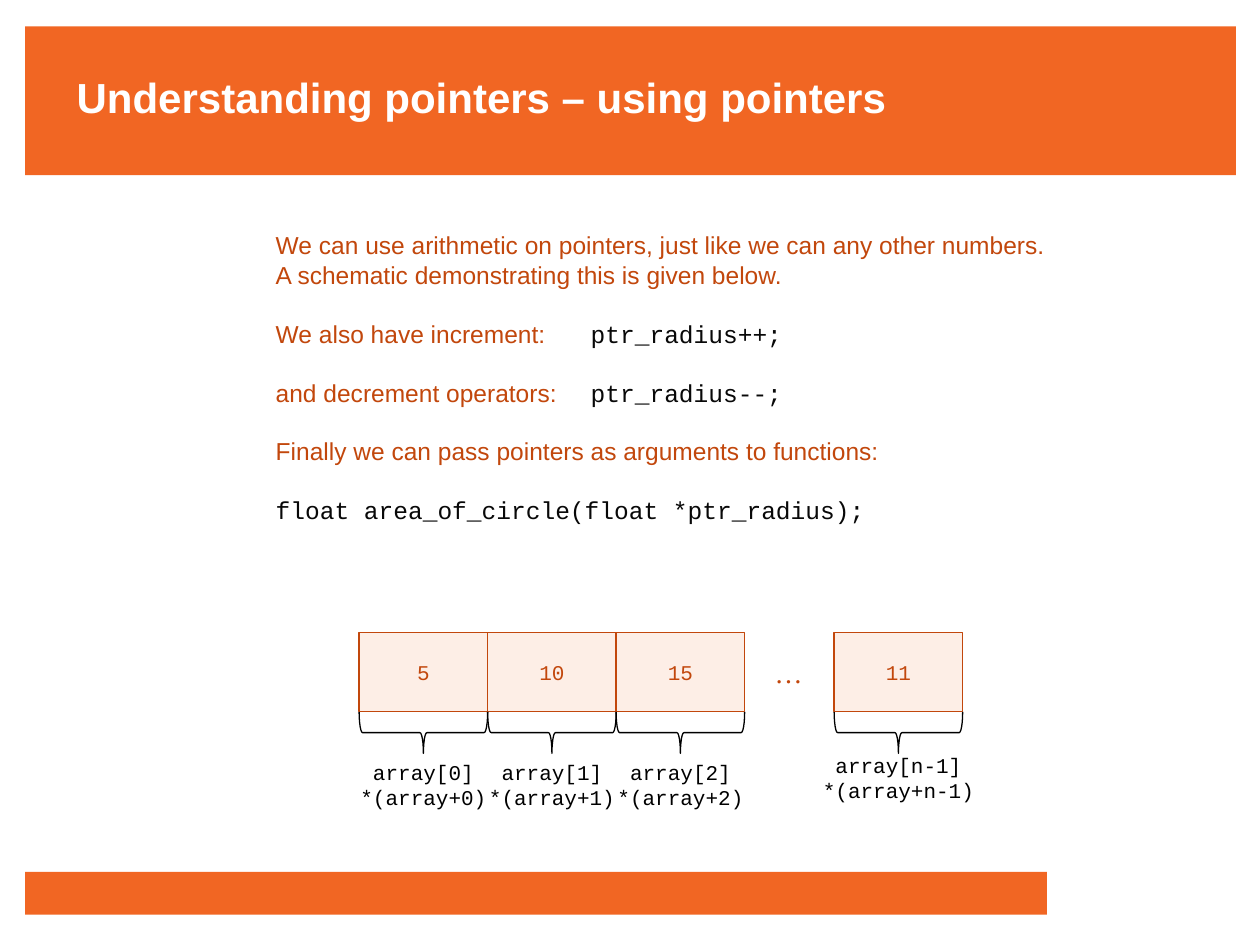
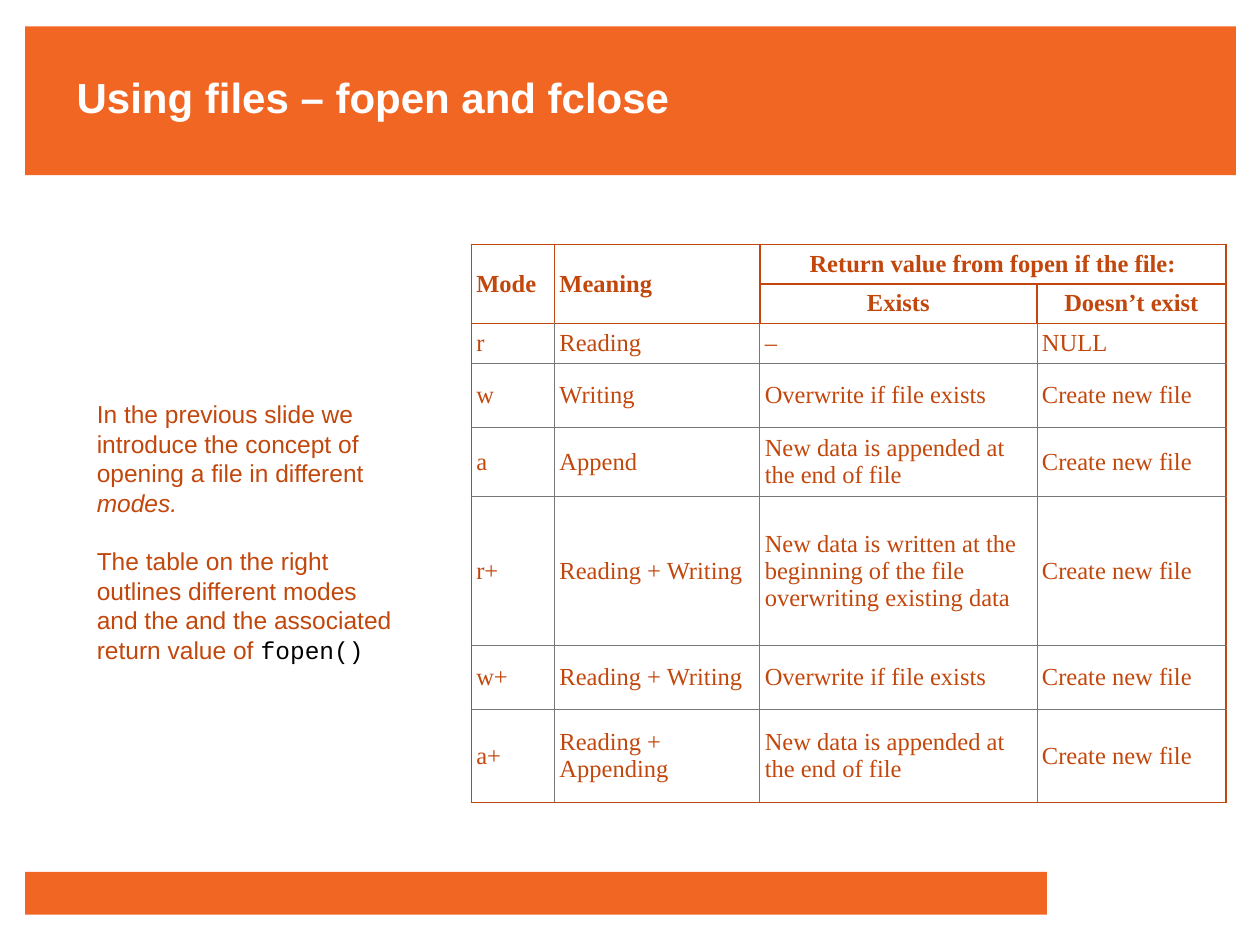
from collections import namedtuple
from dataclasses import dataclass

from lxml import etree
from pptx import Presentation
from pptx.dml.color import RGBColor
from pptx.enum.shapes import MSO_SHAPE
from pptx.enum.text import MSO_ANCHOR, MSO_AUTO_SIZE, PP_ALIGN
from pptx.oxml.ns import qn
from pptx.util import Inches, Pt

RECT, BRACE = MSO_SHAPE.RECTANGLE, MSO_SHAPE.RIGHT_BRACE
LEFT, MID = PP_ALIGN.LEFT, PP_ALIGN.CENTER
HALF, GROW = MSO_ANCHOR.MIDDLE, MSO_AUTO_SIZE.SHAPE_TO_FIT_TEXT

# The slide is a grid of square units
WIDE, HIGH = Inches(10), Inches(7.5)
COLS, ROWS = 100, 75
Box = namedtuple("Box", "x y w h")


@dataclass(frozen=True)
class Theme:
    band: str = "F16623"
    ink: str = "C2470C"
    code: str = "080808"
    black: str = "000000"
    white: str = "FFFFFF"
    cell: str = "F48753"
    rule: str = "777777"
    sans: str = "Arial"
    mono: str = "Courier New"
    serif: str = "Times New Roman"
    title: int = 24
    dots: int = 16
    body: int = 14
    small: int = 12
    lead: float = 1.2
    thin: float = 0.43
    line: float = 0.75
    thick: float = 1


T = Theme()
CODE = dict(font=T.mono, color=T.code)

BANDS = [Box(2, 2.1, 96.1, 11.8), Box(2, 69.2, 81.1, 3.4)]
TITLE = Box(5.1, 5.2, 77.2, 5)

# Each paragraph: blank lines above it, then its runs (text, format)
NOTES = [
    (0, [("We can use arithmetic on pointers, just like we can any other numbers.", {})]),
    (0, [("A schematic demonstrating this is given below.", {})]),
    (1, [("We also have increment:\t", {}), ("ptr_radius++;", CODE)]),
    (1, [("and decrement operators:\t", {}), ("ptr_radius--;", CODE)]),
    (1, [("Finally we can pass pointers as arguments to functions:", {})]),
    (1, [("float area_of_circle(float *ptr_radius);", CODE)]),
]
ITEMS = [("5", "0"), ("10", "1"), ("15", "2")]
LAST = ("11", "n-1")

INTRO = [
    (0, [("In the previous slide we introduce the concept of opening a file in different ", {}),
         ("modes.", dict(italic=True))]),
    (1, [("The table on the right outlines different modes and the and the associated "
          "return value of ", {}),
         ("fopen()", dict(font=T.mono, color=T.black))]),
]
NEW = "Create new file"
OVER = "Overwrite if file exists"
ADD = "New data is appended at the end of file"
HEAD = [
    ["Mode", "Meaning", "Return value from fopen if the file:", ""],
    ["", "", "Exists", "Doesn’t exist"],
]
MODES = [
    ["r", "Reading", "–", "NULL"],
    ["w", "Writing", OVER, NEW],
    ["a", "Append", ADD, NEW],
    ["r+", "Reading + Writing",
     "New data is written at the beginning of the file overwriting existing data", NEW],
    ["w+", "Reading + Writing", OVER, NEW],
    ["a+", "Reading + Appending", ADD, NEW],
]
SPANS = [((0, 0), (1, 0)), ((0, 1), (1, 1)), ((0, 2), (0, 3))]
WIDTHS = [6.6, 16.3, 22, 15]
HEIGHTS = [3.1, 3.1, 3.1, 5.1, 5.5, 11.8, 5.1, 7.4]


def rgb(code):
    return RGBColor.from_string(code)


def across(cols):
    return int(WIDE * cols / COLS)


def down(rows):
    return int(HIGH * rows / ROWS)


def place(box):
    return across(box.x), down(box.y), across(box.w), down(box.h)


def write(frame, paras, size=T.body, font=T.sans, color=T.ink, bold=False,
          italic=False, align=LEFT, fixed=True):
    """Fill a text frame; a plain string is one paragraph per line."""
    if isinstance(paras, str):
        paras = [(0, [(line, {})]) for line in paras.split("\n")]
    base = dict(font=font, color=color, italic=italic)
    for i, (gap, runs) in enumerate(paras):
        para = frame.add_paragraph() if i else frame.paragraphs[0]
        para.alignment = align
        if fixed:
            para.line_spacing = Pt(size * T.lead)
            para.space_before = Pt(gap * size * T.lead)
        for words, own in runs:
            look = {**base, **own}
            run = para.add_run()
            run.text = words
            run.font.size = Pt(size)
            run.font.bold = bold
            run.font.italic = look["italic"]
            run.font.name = look["font"]
            run.font.color.rgb = rgb(look["color"])


def label(slide, box, paras, wrap=True, **look):
    frame = slide.shapes.add_textbox(*place(box)).text_frame
    frame.word_wrap = wrap
    frame.auto_size = GROW
    write(frame, paras, **look)


def shape(slide, kind, box, fill=None, line=None, alpha=None):
    item = slide.shapes.add_shape(kind, *place(box))
    item.shadow.inherit = False
    if fill:
        item.fill.solid()
        item.fill.fore_color.rgb = rgb(fill)
    else:
        item.fill.background()
    if alpha:
        tint = item.fill._xPr.find(".//" + qn("a:srgbClr"))
        etree.SubElement(tint, qn("a:alpha"), val=str(alpha * 1000))
    if line:
        item.line.color.rgb = rgb(line)
        item.line.width = Pt(T.line)
    else:
        item.line.fill.background()
    return item


def page(deck, title):
    """Add a blank slide with its bands and title."""
    slide = deck.slides.add_slide(deck.slide_layouts[6])
    for band in BANDS:
        shape(slide, RECT, band, T.band)
    label(slide, TITLE, title, size=T.title, color=T.white, bold=True)
    return slide


def slot(slide, box, value, index, drop):
    """One array cell, the brace under it and its two names."""
    cell = shape(slide, RECT, box, T.cell, T.ink, alpha=14)
    cell.text_frame.vertical_anchor = HALF
    write(cell.text_frame, value, size=T.small, font=T.mono, align=MID, fixed=False)

    # The brace is turned, so its width is the depth seen
    deep, mid, foot = 3.3, box.x + box.w / 2, box.y + box.h
    brace = shape(slide, BRACE, Box(mid - deep / 2, foot + (deep - box.w) / 2, deep, box.w),
                  line=T.black)
    brace.rotation = 90

    wide = 11.2 + len(index)
    label(slide, Box(mid - wide / 2, foot + drop, wide, 5),
          f"array[{index}]\n*(array+{index})", wrap=False,
          size=T.small, font=T.mono, color=T.black, align=MID)


def array(slide, box):
    """A row of joined cells, dots, and the last cell at the right edge."""
    step = 10.2
    for i, (value, index) in enumerate(ITEMS):
        slot(slide, box._replace(x=box.x + i * step, w=step), value, index, 3.3)
    label(slide, Box(box.x + 32, box.y + 1.3, 4.3, 3.7), "…", wrap=False,
          size=T.dots, font=T.serif)
    slot(slide, box._replace(x=box.x + box.w - step, w=step), *LAST, 2.7)


def edge(cell, side, strong):
    line = etree.SubElement(cell._tc.get_or_add_tcPr(), qn("a:ln" + side),
                            w=str(Pt(T.thick if strong else T.thin)))
    fill = etree.SubElement(line, qn("a:solidFill"))
    etree.SubElement(fill, qn("a:srgbClr"), val=T.ink if strong else T.rule)


def modes(slide, box):
    """The table of file modes, with a strong frame and heading."""
    data = HEAD + MODES
    top, rows, cols = len(HEAD), len(data), len(WIDTHS)
    grid = slide.shapes.add_table(rows, cols, *place(box)).table
    grid.first_row = grid.horz_banding = False
    for col, wide in zip(grid.columns, WIDTHS):
        col.width = across(wide)
    for row, high in zip(grid.rows, HEIGHTS):
        row.height = down(high)
    for start, end in SPANS:
        grid.cell(*start).merge(grid.cell(*end))

    for r, line in enumerate(data):
        for c, words in enumerate(line):
            cell, head = grid.cell(r, c), r < top
            cell.margin_left = cell.margin_right = across(0.4)
            cell.margin_top = cell.margin_bottom = down(0.4)
            cell.vertical_anchor = HALF
            edge(cell, "L", head or c == 0)
            edge(cell, "R", head or c == cols - 1)
            edge(cell, "T", r <= top)
            edge(cell, "B", head or r == rows - 1)
            cell.fill.solid()
            cell.fill.fore_color.rgb = rgb(T.white)
            if words:
                write(cell.text_frame, words, font=T.serif, bold=head, fixed=False,
                      align=MID if head and c > 1 else LEFT)


def main():
    deck = Presentation()
    deck.slide_width, deck.slide_height = WIDE, HIGH

    # Pointer arithmetic
    slide = page(deck, "Understanding pointers – using pointers")
    label(slide, Box(20.9, 17.8, 63.3, 24.6), NOTES)
    array(slide, Box(28.5, 50.2, 47.9, 6.3))

    # File modes
    slide = page(deck, "Using files – fopen and fclose")
    label(slide, Box(6.7, 31.2, 26, 22.2), INTRO)
    modes(slide, Box(37.4, 19.4, sum(WIDTHS), sum(HEIGHTS)))

    deck.save("out.pptx")


if __name__ == "__main__":
    main()
